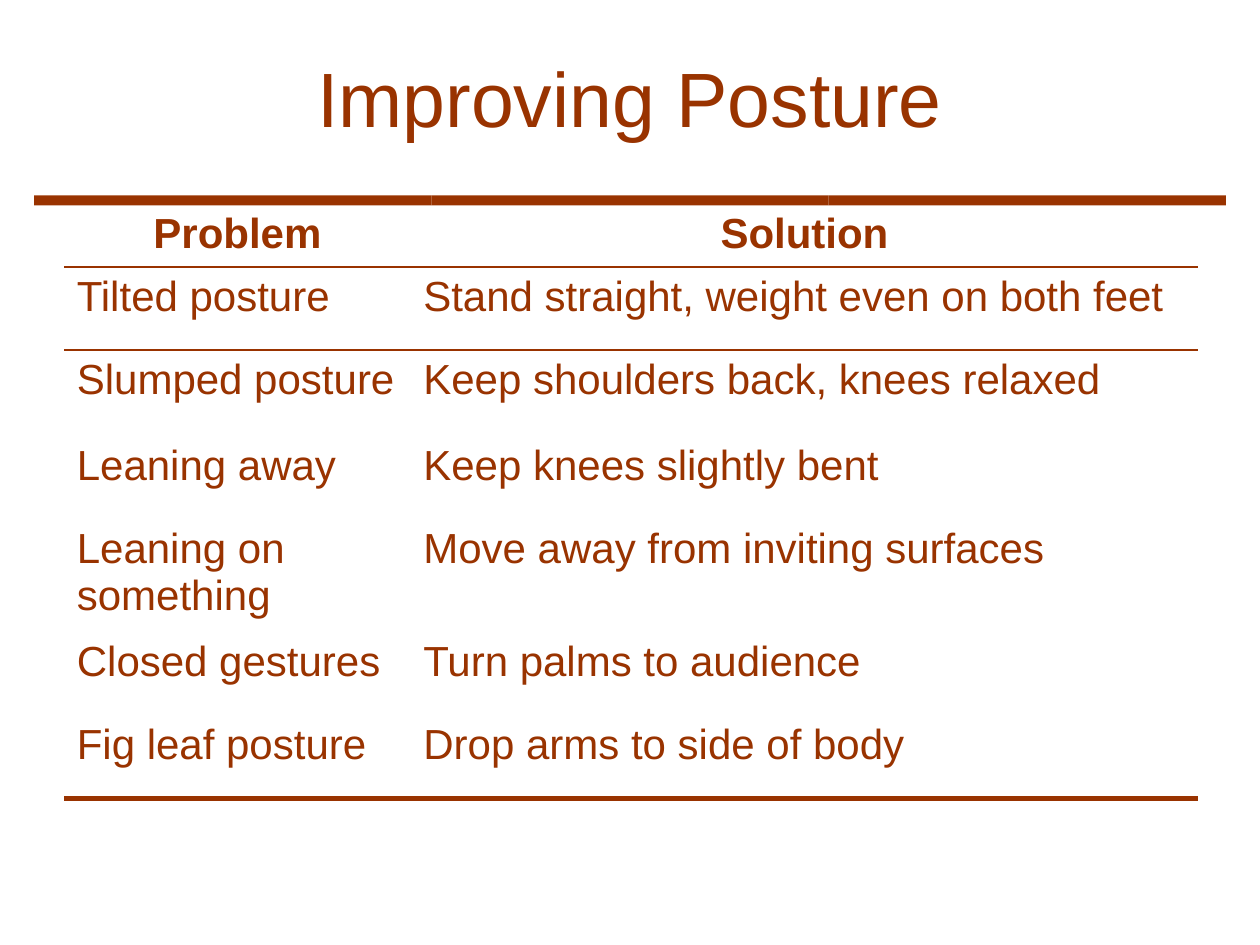
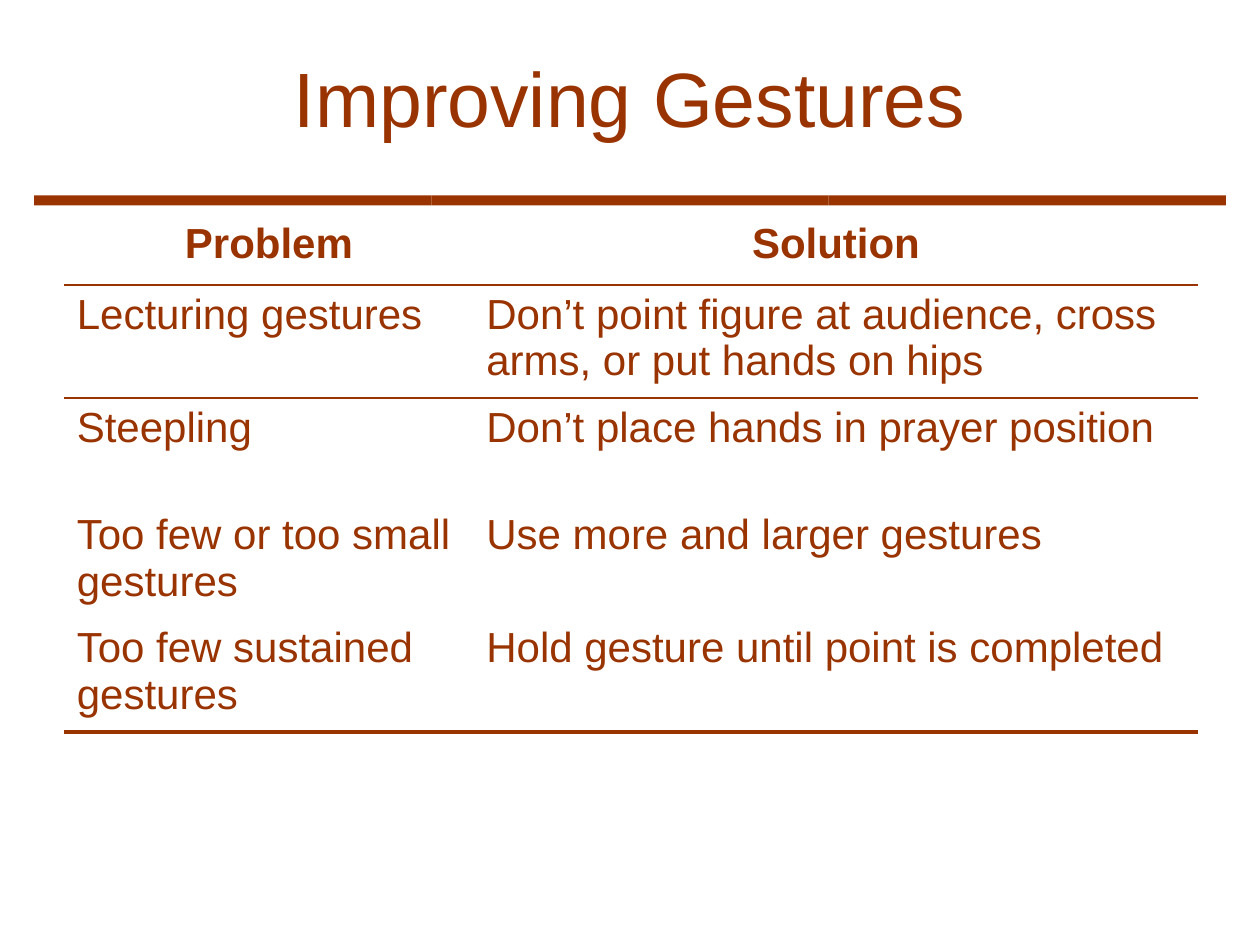
"""Builds two slides that pair speaking problems with their solutions."""
from dataclasses import dataclass

from pptx import Presentation
from pptx.dml.color import RGBColor as Rgb
from pptx.enum.shapes import MSO_SHAPE as Shape
from pptx.enum.text import MSO_ANCHOR as Anchor, MSO_AUTO_SIZE as Fit, PP_ALIGN as Align
from pptx.oxml import parse_xml
from pptx.oxml.ns import nsdecls, qn
from pptx.util import Inches, Pt

HEAD = ("Problem", "Solution")
SLIDES = [
    {
        "title": "Improving Posture",
        "top": 1.62,
        "cols": (2.75, 6.25),
        "high": (0.5, 0.66, 0.68, 0.66, 0.9, 0.66, 0.66),
        "rows": [
            ("Tilted posture", "Stand straight, weight even on both feet"),
            ("Slumped posture", "Keep shoulders back, knees relaxed"),
            ("Leaning away", "Keep knees slightly bent"),
            ("Leaning on something", "Move away from inviting surfaces"),
            ("Closed gestures", "Turn palms to audience"),
            ("Fig leaf posture", "Drop arms to side of body"),
        ],
    },
    {
        "title": "Improving Gestures",
        "top": 1.7,
        "cols": (3.25, 5.75),
        "high": (0.56, 0.9, 0.85, 0.9, 0.9),
        "rows": [
            ("Lecturing gestures",
             "Don’t point figure at audience, cross arms, or put hands on hips"),
            ("Steepling", "Don’t place hands in prayer position"),
            ("Too few or too small gestures", "Use more and larger gestures"),
            ("Too few sustained gestures", "Hold gesture until point is completed"),
        ],
    },
]


@dataclass(frozen=True)
class Theme:
    ink: str = "993300"
    font: str = "Arial"
    title: int = 44
    body: int = 24
    thin: float = 1.47
    thick: float = 3
    plain: str = "{2D5ABB26-0587-4C30-8999-92F81FD0307C}"


THEME = Theme()
INK = Rgb.from_string(THEME.ink)
BAND = {"left": 0.27, "top": 1.55, "wide": 9.46, "high": 0.08, "parts": 3}


def style(para, size, align, bold=False):
    para.alignment = align
    font = para.font
    font.name, font.size, font.bold = THEME.font, Pt(size), bold
    font.color.rgb = INK


def add_title(slide, text):
    title = slide.shapes.title
    title.left, title.top = Inches(0.5), Inches(0.3)
    title.width, title.height = Inches(9), Inches(0.93)
    frame = title.text_frame
    frame.text = text
    frame.auto_size = Fit.NONE
    frame.vertical_anchor = Anchor.MIDDLE
    style(frame.paragraphs[0], THEME.title, Align.CENTER)


def add_band(slide):
    wide = BAND["wide"] / BAND["parts"]
    for i in range(BAND["parts"]):
        bar = slide.shapes.add_shape(
            Shape.RECTANGLE, Inches(BAND["left"] + i * wide), Inches(BAND["top"]),
            Inches(wide), Inches(BAND["high"]))
        bar.shadow.inherit = False
        bar.fill.solid()
        bar.fill.fore_color.rgb = INK
        bar.line.fill.background()


def add_edge(cell, side, width):
    cell._tc.get_or_add_tcPr().append(parse_xml(
        f'<a:ln{side} {nsdecls("a")} w="{Pt(width)}"><a:solidFill>'
        f'<a:srgbClr val="{THEME.ink}"/></a:solidFill></a:ln{side}>'))


def fill_cell(cell, text, row, last):
    cell.text = text
    para = cell.text_frame.paragraphs[0]
    para.space_before = Pt(6)
    style(para, THEME.body, Align.LEFT if row else Align.CENTER, row == 0)
    if row == 1:
        add_edge(cell, "T", THEME.thin)
    if row in (0, last):
        add_edge(cell, "B", THEME.thick if row else THEME.thin)
    cell.fill.background()


def add_grid(slide, data):
    rows = [HEAD, *data["rows"]]
    table = slide.shapes.add_table(
        len(rows), len(HEAD), Inches(0.51), Inches(data["top"]),
        Inches(sum(data["cols"])), Inches(sum(data["high"]))).table
    table.horz_banding = table.first_row = False
    table._tbl.tblPr.find(qn("a:tableStyleId")).text = THEME.plain
    for col, wide in zip(table.columns, data["cols"]):
        col.width = Inches(wide)
    for r, (texts, high) in enumerate(zip(rows, data["high"])):
        table.rows[r].height = Inches(high)
        for c, text in enumerate(texts):
            fill_cell(table.cell(r, c), text, r, len(rows) - 1)


def main():
    deck = Presentation()
    deck.slide_width, deck.slide_height = Inches(10), Inches(7.5)
    for data in SLIDES:
        slide = deck.slides.add_slide(deck.slide_layouts[5])
        add_band(slide)
        add_title(slide, data["title"])
        add_grid(slide, data)
    deck.save("out.pptx")


if __name__ == "__main__":
    main()
